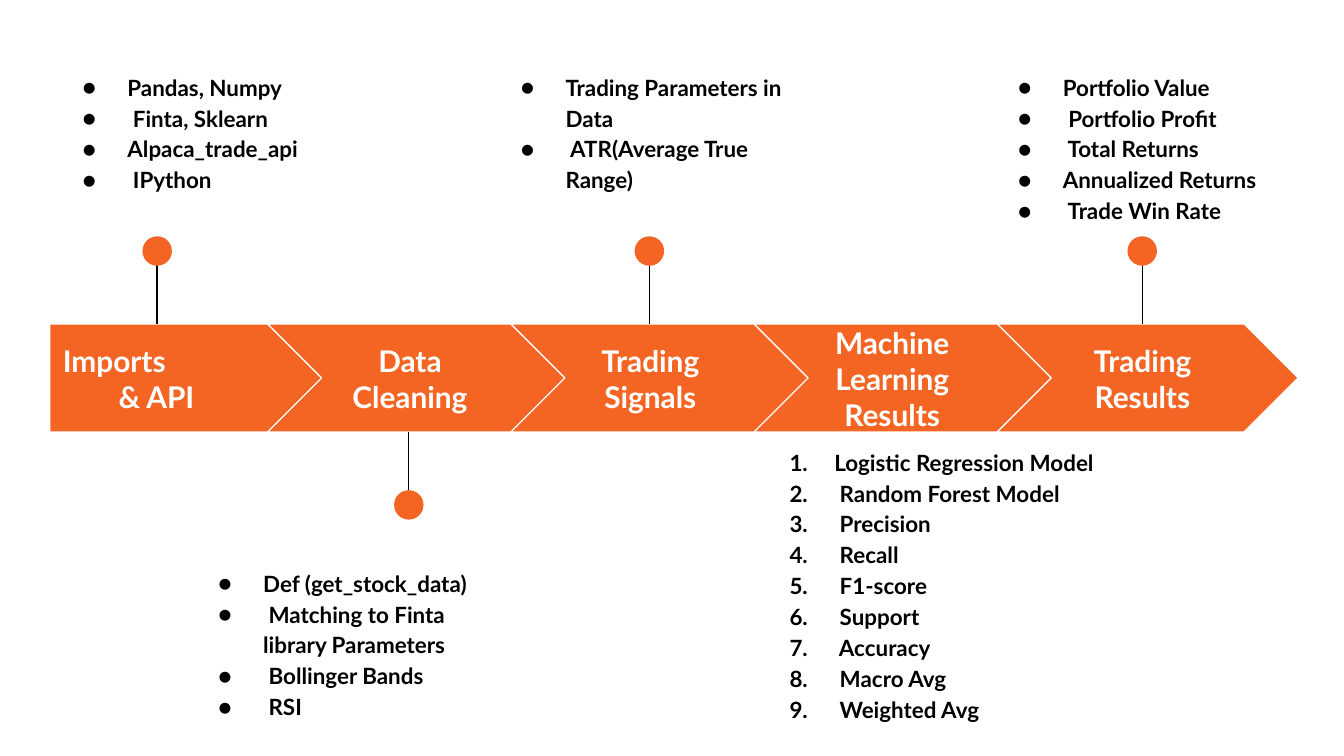
from lxml import etree
from pptx import Presentation
from pptx.dml.color import RGBColor
from pptx.enum.shapes import MSO_CONNECTOR, MSO_SHAPE
from pptx.enum.text import MSO_ANCHOR, PP_ALIGN
from pptx.oxml.ns import qn
from pptx.util import Pt

PENTAGON, CHEVRON, OVAL = MSO_SHAPE.PENTAGON, MSO_SHAPE.CHEVRON, MSO_SHAPE.OVAL
STRAIGHT = MSO_CONNECTOR.STRAIGHT
TOP, MIDDLE = MSO_ANCHOR.TOP, MSO_ANCHOR.MIDDLE
LEFT, CENTER = PP_ALIGN.LEFT, PP_ALIGN.CENTER

ORANGE, WHITE, BLACK = "F46524", "FFFFFF", "000000"
FONT = "Lato"
LABEL_FONT = {"name": FONT, "size": Pt(16), "bold": True}
LIST_FONT = {"name": FONT, "size": Pt(12), "bold": True}

# Process band
BAND_TOP, BAND_HEIGHT = 173.5, 58
BAND_BOTTOM = BAND_TOP + BAND_HEIGHT
CHEVRON_LEFT, CHEVRON_WIDTH, CHEVRON_PITCH = 143.3, 161.3, 130.3
LABEL_TOP, LABEL_HEIGHT = 184.3, 36.7
PIN_LENGTH, DOT_SIZE, DOT_OFFSET = 44, 15.8, 39

# Label left, label width, lines with their alignment
LABELS = [
    (26.6, 114.5, [("Imports", LEFT), ("& API", CENTER)]),
    (167.8, 103.7, [("Data Cleaning", CENTER)]),
    (296.6, 103.7, [("Trading Signals", CENTER)]),
    (426.2, 103.7, [("Machine Learning Results", CENTER)]),
    (560.2, 103.7, [("Trading Results", CENTER)]),
]

# Pin centre, edge of the band it starts from, direction (-1 up, 1 down)
PINS = [
    (84.2, BAND_TOP, -1),
    (219, BAND_BOTTOM, 1),
    (347.9, BAND_TOP, -1),
    (611.9, BAND_TOP, -1),
]

# Left, top, width, height, numbered, items
LISTS = [
    (25.2, 30.2, 176.4, 71.3, False,
     ["Pandas, Numpy", " Finta, Sklearn", "Alpaca_trade_api", " IPython"]),
    (97.9, 295.9, 176.4, 71.3, False,
     ["Def (get_stock_data)", " Matching to Finta library Parameters",
      " Bollinger Bands", " RSI"]),
    (259.9, 30.2, 176.4, 71.3, False,
     ["Trading Parameters in Data", " ATR(Average True Range)"]),
    (403.9, 231.1, 349.9, 162.7, True,
     ["Logistic Regression Model", " Random Forest Model", " Precision",
      " Recall", " F1-score", " Support", " Accuracy", " Macro Avg",
      " Weighted Avg"]),
    (526.3, 30.2, 176.4, 71.3, False,
     ["Portfolio Value", " Portfolio Profit", " Total Returns",
      "Annualized Returns", " Trade Win Rate"]),
]


def color(hex_value):
    return RGBColor.from_string(hex_value)


def apply(target, values):
    for name, value in values.items():
        setattr(target, name, value)


def add_filled_shape(slide, kind, left, top, width, height, outline=None):
    shape = slide.shapes.add_shape(
        kind, Pt(left), Pt(top), Pt(width), Pt(height))
    shape.shadow.inherit = False
    shape.fill.solid()
    shape.fill.fore_color.rgb = color(ORANGE)
    if outline:
        shape.line.color.rgb = color(outline)
        shape.line.width = Pt(0.75)
    else:
        shape.line.fill.background()
    return shape


def add_text_frame(slide, left, top, width, height, anchor):
    box = slide.shapes.add_textbox(Pt(left), Pt(top), Pt(width), Pt(height))
    frame = box.text_frame
    apply(frame, {
        "word_wrap": True, "vertical_anchor": anchor,
        "margin_left": Pt(7.2), "margin_right": Pt(7.2),
        "margin_top": Pt(7.2), "margin_bottom": Pt(7.2),
    })
    return frame


def add_para(frame, index):
    return frame.add_paragraph() if index else frame.paragraphs[0]


def add_span(para, text, font_values, hex_value):
    span = para.add_run()
    span.text = text
    apply(span.font, font_values)
    span.font.color.rgb = color(hex_value)


def add_marker(para, numbered):
    properties = para._p.get_or_add_pPr()
    properties.set("marL", str(Pt(36)))
    properties.set("indent", str(-Pt(24)))
    marker_color = etree.SubElement(properties, qn("a:buClr"))
    etree.SubElement(marker_color, qn("a:srgbClr"), val=BLACK)
    etree.SubElement(properties, qn("a:buFont"), typeface=FONT)
    if numbered:
        etree.SubElement(properties, qn("a:buAutoNum"), type="arabicPeriod")
    else:
        etree.SubElement(properties, qn("a:buChar"), char="●")


def add_label(slide, left, width, lines):
    frame = add_text_frame(slide, left, LABEL_TOP, width, LABEL_HEIGHT, MIDDLE)
    for index, (text, alignment) in enumerate(lines):
        para = add_para(frame, index)
        para.alignment = alignment
        add_span(para, text, LABEL_FONT, WHITE)


def add_list(slide, left, top, width, height, numbered, items):
    frame = add_text_frame(slide, left, top, width, height, TOP)
    for index, text in enumerate(items):
        para = add_para(frame, index)
        add_marker(para, numbered)
        para.line_spacing = 1.15
        add_span(para, text, LIST_FONT, BLACK)


def add_pin(slide, center, edge, direction):
    line = slide.shapes.add_connector(
        STRAIGHT, Pt(center), Pt(edge + direction * PIN_LENGTH),
        Pt(center), Pt(edge))
    line.line.color.rgb = color(BLACK)
    line.line.width = Pt(0.75)
    etree.SubElement(line._element.spPr, qn("a:effectLst"))
    dot_center = edge + direction * DOT_OFFSET
    add_filled_shape(slide, OVAL, center - DOT_SIZE / 2,
                     dot_center - DOT_SIZE / 2, DOT_SIZE, DOT_SIZE)


def add_band(slide):
    start = add_filled_shape(
        slide, PENTAGON, 26.6, BAND_TOP, 147.6, BAND_HEIGHT, WHITE)
    start.adjustments[0] = 0.5
    for index in range(len(LABELS) - 1):
        step = add_filled_shape(
            slide, CHEVRON, CHEVRON_LEFT + index * CHEVRON_PITCH, BAND_TOP,
            CHEVRON_WIDTH, BAND_HEIGHT, WHITE)
        step.adjustments[0] = 0.5


def main():
    deck = Presentation()
    deck.slide_width, deck.slide_height = Pt(720), Pt(405)
    slide = deck.slides.add_slide(deck.slide_layouts[6])

    # Band of steps with their labels
    add_band(slide)
    for label in LABELS:
        add_label(slide, *label)

    # Pins and detail lists
    for pin in PINS:
        add_pin(slide, *pin)
    for details in LISTS:
        add_list(slide, *details)

    deck.save("out.pptx")


if __name__ == "__main__":
    main()
